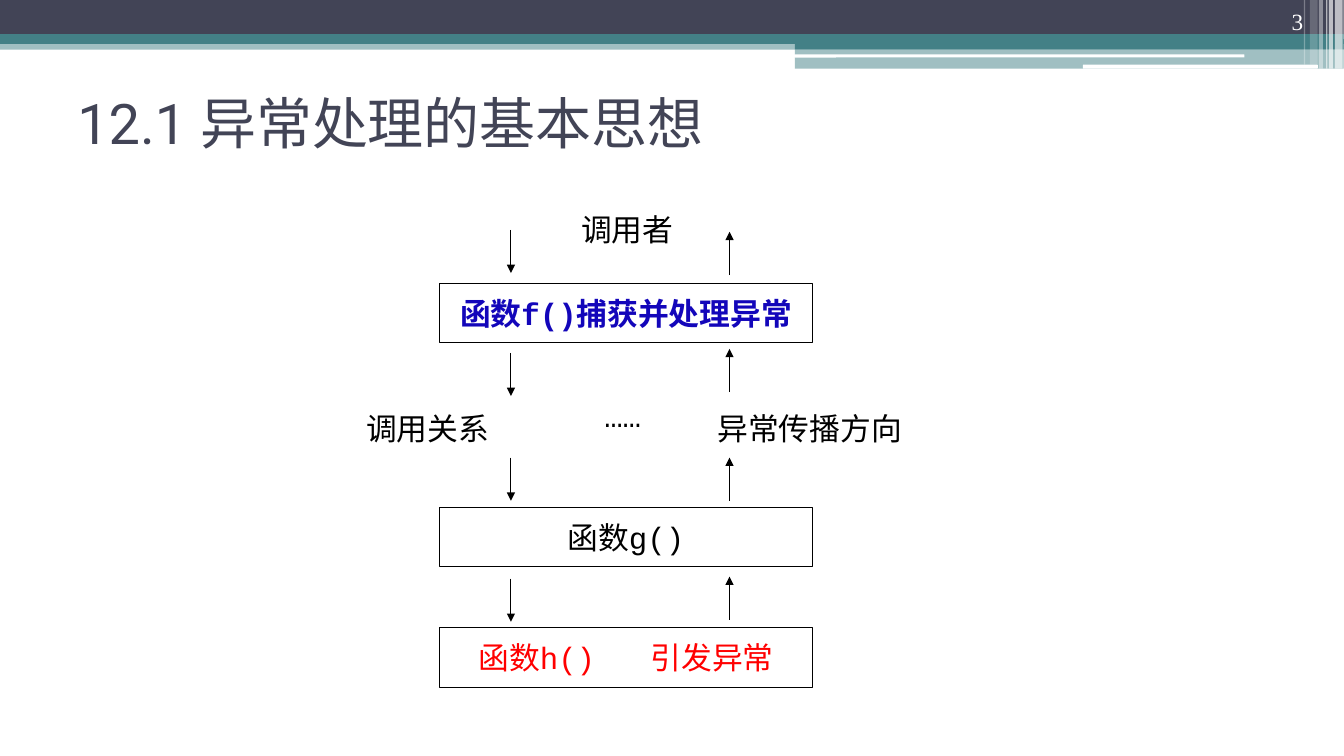
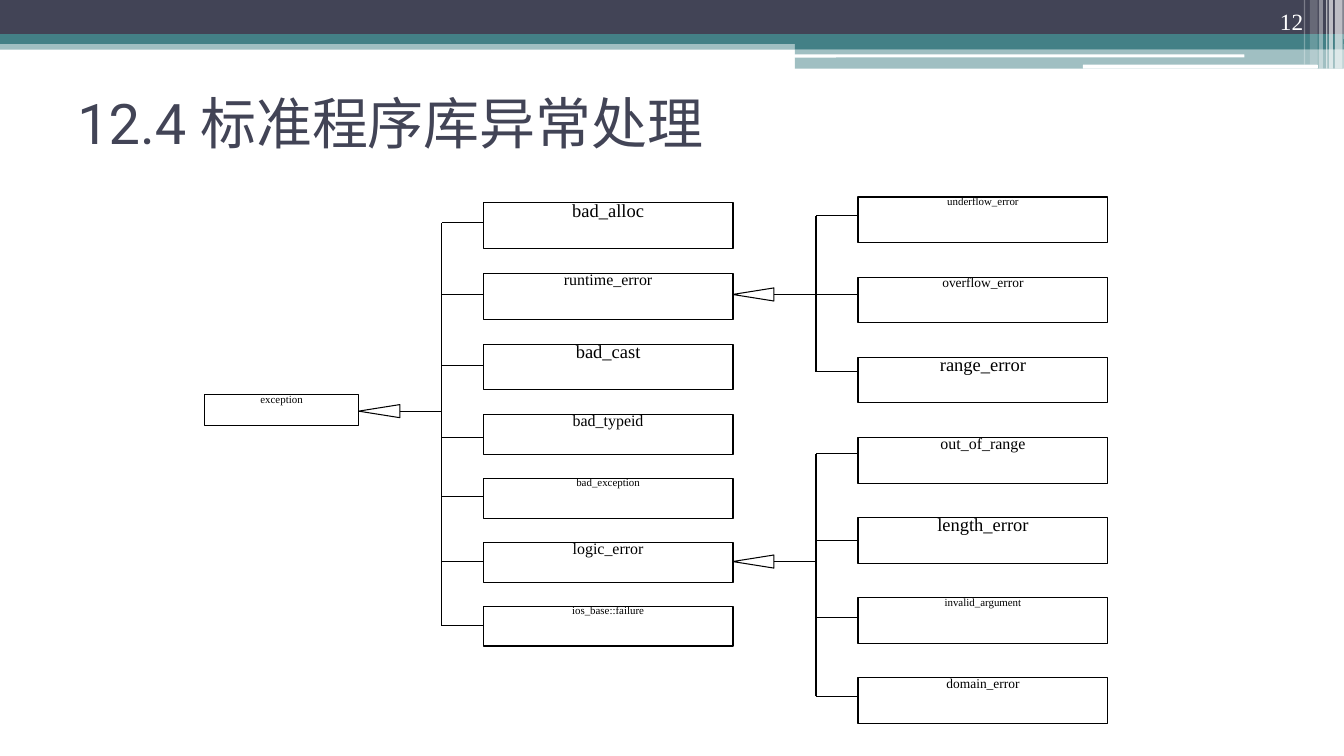
from dataclasses import dataclass

from lxml.etree import SubElement
from pptx import Presentation
from pptx.dml.color import RGBColor
from pptx.enum.shapes import MSO_CONNECTOR as Line, MSO_SHAPE as Shape
from pptx.enum.text import MSO_ANCHOR as Anchor, PP_ALIGN as Align
from pptx.oxml.ns import qn
from pptx.util import Cm, Pt

COLORS = {"navy": "424456", "teal": "438086", "white": "FFFFFF",
          "black": "000000", "blue": "1306BA", "red": "FF0000"}
TITLE_FONT, CODE_FONT, SERIF = "Roboto", "Courier New", "Times New Roman"


# Descriptions; all lengths are centimetres
@dataclass(frozen=True)
class Band:
    x: float
    y: float
    w: float
    h: float
    color: str
    alpha: int = 100
    rounded: bool = False


@dataclass(frozen=True)
class Run:
    text: str
    size: float = 22
    font: str = CODE_FONT
    color: str = "black"
    bold: bool = False
    tracking: float = 0


@dataclass(frozen=True)
class Label:
    x: float
    y: float
    w: float
    h: float
    text: str


@dataclass(frozen=True)
class ClassBox:
    name: str
    size: float
    x: float
    mid: float
    w: float = 6.3
    h: float = 1.15


@dataclass(frozen=True)
class Branch:
    tip: float       # left end of the hollow arrowhead
    mid: float       # height of the arrow
    trunk: float     # x of the vertical line
    twigs: tuple     # heights of the lines to the subclasses


BANDS = (
    Band(0, 1.02, 33.87, 0.23, "teal", 50),
    Band(0, 0, 33.87, 0.86, "navy"),
    Band(0, 0.86, 33.87, 0.25, "teal"),
    Band(20.04, 0.99, 13.83, 0.25, "teal"),
    Band(20.04, 1.23, 13.83, 0.5, "teal", 50),
    Band(20.02, 1.37, 11.35, 0.08, "white", rounded=True),
    Band(27.3, 1.63, 5.92, 0.1, "white", rounded=True),
    Band(33.65, 0, 0.2, 1.73, "white", 65),
    Band(33.5, 0, 0.1, 1.73, "white", 65),
    Band(33.43, 0, 0.03, 1.73, "white", 60),
    Band(33.25, 0, 0.1, 1.73, "white", 40),
    Band(33.02, 0, 0.2, 1.63, "white", 20),
    Band(32.87, 0, 0.03, 1.63, "white", 30),
)


# Drawing helpers
def rgb(name: str) -> RGBColor:
    return RGBColor.from_string(COLORS[name])


def write(sp, runs, align=Align.CENTER, anchor=Anchor.MIDDLE,
          inset=(0, 0), spacing=1.0) -> None:
    tf = sp.text_frame
    tf.word_wrap = True
    tf.vertical_anchor = anchor
    tf.margin_left = tf.margin_right = Cm(inset[0])
    tf.margin_top = tf.margin_bottom = Cm(inset[1])
    p = tf.paragraphs[0]
    p.alignment = align
    p.line_spacing = spacing
    for run in runs:
        r = p.add_run()
        r.text = run.text
        r.font.name, r.font.size, r.font.bold = run.font, Pt(run.size), run.bold
        r.font.color.rgb = rgb(run.color)
        if run.tracking:
            r.font._element.set("spc", str(round(run.tracking * 100)))


def add_text(s, x: float, y: float, w: float, h: float, runs, **style) -> None:
    write(s.shapes.add_textbox(Cm(x), Cm(y), Cm(w), Cm(h)), runs, **style)


def add_outline(s, kind, x: float, y: float, w: float, h: float):
    sp = s.shapes.add_shape(kind, Cm(x), Cm(y), Cm(w), Cm(h))
    sp.shadow.inherit = False
    sp.fill.background()
    sp.line.color.rgb = rgb("black")
    sp.line.width = Pt(0.75)
    return sp


def add_band(s, band: Band) -> None:
    kind = Shape.ROUNDED_RECTANGLE if band.rounded else Shape.RECTANGLE
    sp = s.shapes.add_shape(kind, Cm(band.x), Cm(band.y), Cm(band.w), Cm(band.h))
    sp.shadow.inherit = False
    sp.fill.solid()
    sp.fill.fore_color.rgb = rgb(band.color)
    sp.line.fill.background()
    if band.alpha < 100:
        color = next(sp._element.spPr.iter(qn("a:srgbClr")))
        SubElement(color, qn("a:alpha"), val=str(band.alpha * 1000))


def add_line(s, x1: float, y1: float, x2: float, y2: float,
             arrow: bool = False) -> None:
    cn = s.shapes.add_connector(Line.STRAIGHT, Cm(x1), Cm(y1), Cm(x2), Cm(y2))
    cn.line.color.rgb = rgb("black")
    cn.line.width = Pt(0.75)
    if arrow:
        SubElement(cn.line._get_or_add_ln(), qn("a:tailEnd"), type="triangle")
    SubElement(cn._element.spPr, qn("a:effectLst"))


def add_class(s, box: ClassBox) -> None:
    sp = add_outline(s, Shape.RECTANGLE, box.x, box.mid - box.h / 2, box.w, box.h)
    write(sp, [Run(box.name, box.size, SERIF)], anchor=Anchor.TOP, spacing=0.8)


def add_branch(s, branch: Branch) -> None:
    length, width, reach = 1.04, 0.33, 1.05
    head = add_outline(s, Shape.FLOWCHART_EXTRACT,
                       branch.tip + (length - width) / 2,
                       branch.mid - length / 2, width, length)
    head.rotation = 270
    add_line(s, branch.tip + length, branch.mid, branch.trunk, branch.mid)
    add_line(s, branch.trunk, branch.twigs[-1], branch.trunk, branch.twigs[0])
    for y in branch.twigs:
        add_line(s, branch.trunk, y, branch.trunk + reach, y)


def new_slide(prs, title: str, number: str):
    s = prs.slides.add_slide(prs.slide_layouts[6])
    for band in BANDS:
        add_band(s, band)
    add_text(s, 1.7, 1.6, 30.48, 2.97, [Run(title, 40, TITLE_FONT, "navy")],
             align=Align.LEFT, inset=(0.25, 0.13))
    add_text(s, 30.28, 0, 2.82, 1.02, [Run(number, 16.6, SERIF, "white")],
             align=Align.RIGHT, anchor=Anchor.BOTTOM, inset=(0.25, 0.13),
             spacing=0.9)
    return s


# Call chain and exception propagation
def propagation_slide(prs) -> None:
    s = new_slide(prs, "12.1 异常处理的基本思想", "3")
    functions = (
        (7.14, [Run("函数f()捕获并处理异常", color="blue", bold=True)]),
        (12.78, [Run("函数g()")]),
        (15.82, [Run("函数h()", color="red"),
                 Run(" ", color="red", tracking=26.4),
                 Run("引发异常", color="red")]),
    )
    for y, runs in functions:
        write(add_outline(s, Shape.RECTANGLE, 11.07, y, 9.42, 1.5), runs,
              inset=(0.25, 0))

    length = 1.09
    for y in (5.79, 8.89, 11.53, 14.58):
        add_line(s, 12.88, y, 12.88, y + length, arrow=True)
    for y in (5.84, 8.79, 11.53, 14.53):
        add_line(s, 18.39, y + length, 18.39, y, arrow=True)

    labels = (
        Label(11.61, 9.88, 8.18, 1.14, "……"),
        Label(13.64, 5.28, 4.34, 1, "调用者"),
        Label(18.06, 10.29, 4.7, 1, "异常传播方向"),
        Label(8.61, 10.29, 4.34, 1, "调用关系"),
    )
    for label in labels:
        add_text(s, label.x, label.y, label.w, label.h, [Run(label.text)])


# Hierarchy of the standard exceptions
def hierarchy_slide(prs) -> None:
    s = new_slide(prs, "12.4 标准程序库异常处理", "12")
    add_class(s, ClassBox("exception", 7.8, 5.15, 10.34, 3.9, 0.78))

    # Each group: left edge, first middle, pitch, box height, classes
    groups = (
        (12.18, 5.69, 1.78, 1.15,
         (("bad_alloc", 13.2), ("runtime_error", 11.4), ("bad_cast", 13.2))),
        (12.18, 10.95, 1.61, 1,
         (("bad_typeid", 11.4), ("bad_exception", 7.8), ("logic_error", 11.4),
          ("ios_base::failure", 7.8))),
        (21.63, 5.54, 2.02, 1.15,
         (("underflow_error", 7.8), ("overflow_error", 9.6),
          ("range_error", 13.2), ("out_of_range", 11.4),
          ("length_error", 13.2), ("invalid_argument", 7.8),
          ("domain_error", 9.6))),
    )
    for x, first, pitch, h, classes in groups:
        for i, (name, size) in enumerate(classes):
            add_class(s, ClassBox(name, size, x, first + i * pitch, h=h))

    branches = (
        Branch(9.04, 10.36, 11.13,
               (5.61, 7.42, 9.22, 11.02, 12.5, 14.15, 15.77)),
        Branch(18.47, 7.42, 20.57, (5.44, 7.42, 9.37)),
        Branch(18.47, 14.15, 20.57, (11.43, 13.61, 15.57, 17.55)),
    )
    for branch in branches:
        add_branch(s, branch)


def main() -> None:
    prs = Presentation()
    prs.slide_width, prs.slide_height = Cm(33.88), Cm(19.05)
    propagation_slide(prs)
    hierarchy_slide(prs)
    prs.save("out.pptx")


if __name__ == "__main__":
    main()
